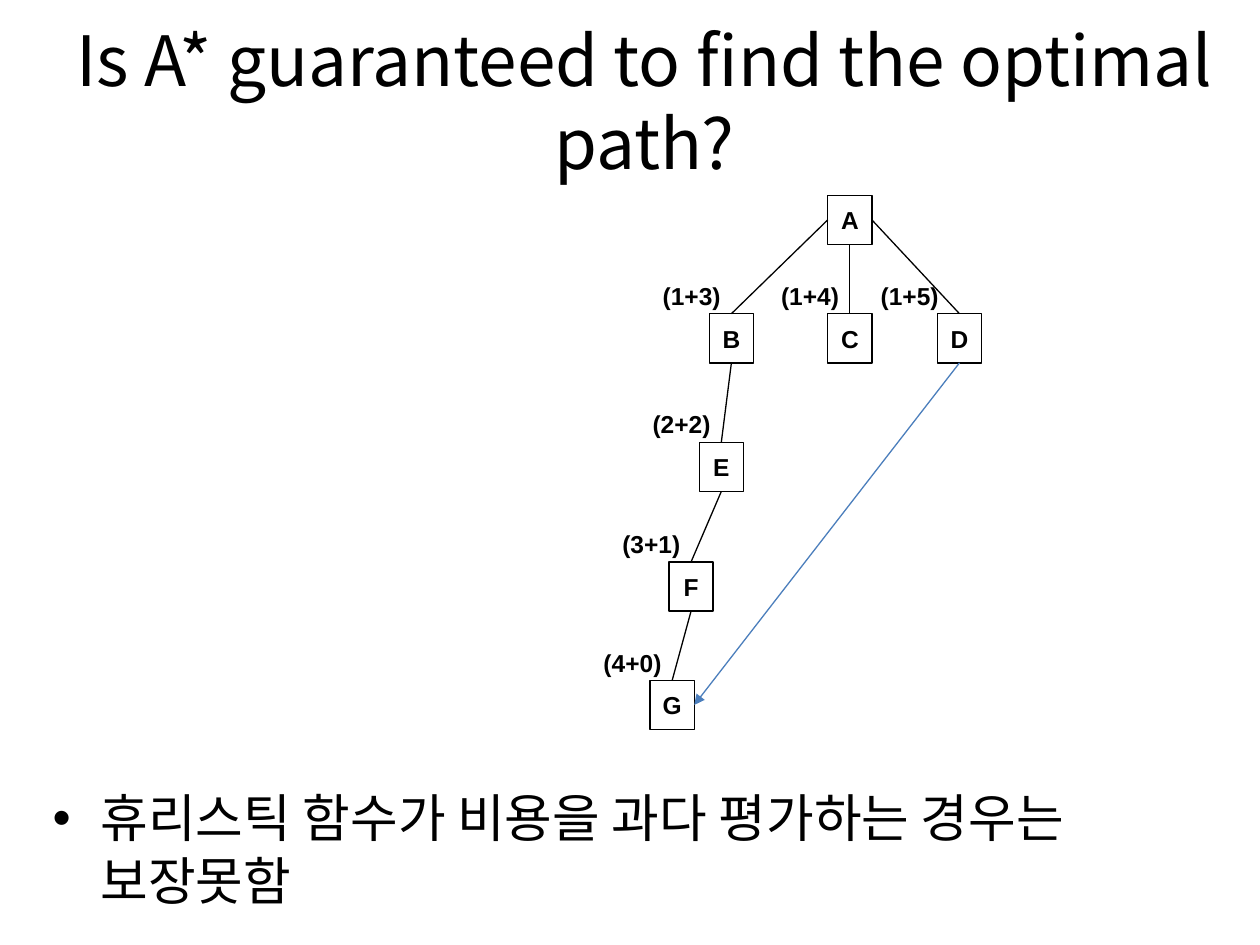
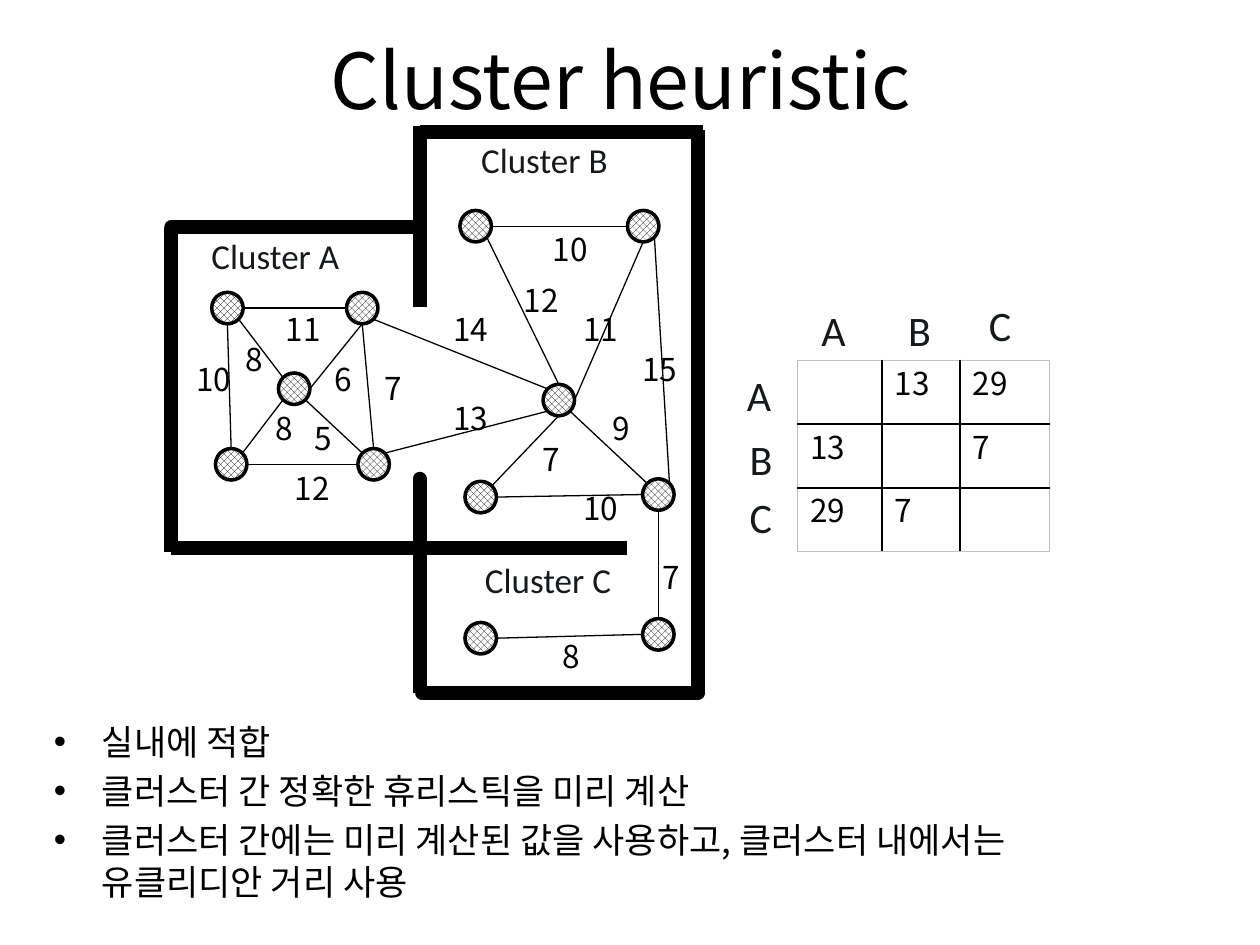
from dataclasses import dataclass
from lxml import etree
from pptx import Presentation
from pptx import util as u
from pptx.dml.color import RGBColor
from pptx.enum import dml, shapes, text
from pptx.oxml.ns import qn


@dataclass(frozen=True)
class Theme:
    black: str = "000000"
    ink: str = "161A1C"
    white: str = "FFFFFF"
    arrow: str = "4B7EBC"
    frame: str = "C0C0C0"
    main: str = "Noto Sans CJK KR"
    label: str = "Calibri"
    tree: str = "Arial"
    tree_size: float = 14
    weight_size: float = 18
    cluster_size: float = 20
    axis_size: float = 24
    leading: float = 1.2
    thin: float = 0.75
    ring: float = 2
    wall: float = 8


THEME = Theme()

PATH_SLIDE = {
    "title": ("Is A* guaranteed to find the optimal path?", (0.35, 0.36, 9.53, 0.87), 39.6),
    "bullets": (["휴리스틱 함수가 비용을 과다 평가하는 경우는 보장못함"], (0.32, 6.19, 9, 0.95), 29.6),
}
CLUSTER_SLIDE = {
    "title": ("Cluster heuristic", (0.43, 0, 9, 1.25), 44),
    "bullets": (
        [
            "실내에 적합",
            "클러스터 간 정확한 휴리스틱을 미리 계산",
            "클러스터 간에는 미리 계산된 값을 사용하고, 클러스터 내에서는 유클리디안 거리 사용",
        ],
        (0.33, 5.67, 9, 1.81),
        20,
    ),
}

TOP, LEFT, BOTTOM, RIGHT = range(4)
TREE_NODE = (0.35, 0.39)
TREE_NODES = {
    "A": (6.57, 1.55),
    "B": (5.63, 2.49),
    "C": (6.57, 2.49),
    "D": (7.44, 2.49),
    "E": (5.55, 3.51),
    "F": (5.31, 4.46),
    "G": (5.16, 5.4),
}
TREE_COSTS = {"B": "(1+3)", "C": "(1+4)", "D": "(1+5)", "E": "(2+2)", "F": "(3+1)", "G": "(4+0)"}
COST_SHIFT = {"D": -0.55}
TREE_EDGES = [
    ("A", LEFT, "B", TOP),
    ("A", BOTTOM, "C", TOP),
    ("A", RIGHT, "D", TOP),
    ("B", BOTTOM, "E", TOP),
    ("E", BOTTOM, "F", TOP),
    ("F", BOTTOM, "G", TOP),
]
SHORTCUT = ("D", BOTTOM, "G", RIGHT)

ROUND_WALLS = [
    ((3.33, 1.8), (1.36, 1.8)),
    ((3.33, 4.35), (3.33, 3.8)),
    ((5.54, 5.5), (3.35, 5.5)),
]
FLAT_WALLS = [
    ((1.36, 4.38), (1.36, 1.8)),
    ((1.36, 4.35), (3.33, 4.35)),
    ((3.33, 1.8), (3.33, 2.44)),
    ((3.33, 1), (3.33, 1.8)),
    ((3.33, 1.05), (5.58, 1.05)),
    ((3.35, 4.35), (4.98, 4.35)),
    ((5.54, 5.5), (5.54, 1.03)),
    ((3.33, 5.5), (3.33, 4.33)),
]
WAYPOINT = 0.25
WAYPOINTS = {
    "a1": (1.68, 2.32), "a2": (2.75, 2.32), "a3": (1.71, 3.56), "a4": (2.84, 3.56), "a5": (2.21, 2.96),
    "b1": (3.65, 1.67), "b2": (4.98, 1.67), "b3": (3.69, 3.82), "b4": (5.1, 3.8), "b5": (4.31, 3.05),
    "c1": (3.69, 4.94), "c2": (5.1, 4.91),
}
COMPASS = {
    "N": (0, -1), "NE": (0.71, -0.71), "E": (1, 0), "SE": (0.71, 0.71),
    "S": (0, 1), "SW": (-0.71, 0.71), "W": (-1, 0), "NW": (-0.71, -0.71),
}
ROUTES = [
    ("a1", "E", "a2", "W", "11", (2.17, 2.41)),
    ("a5", "NW", "a1", "SE", "8", (1.85, 2.65)),
    ("a3", "N", "a1", "S", "10", (1.46, 2.81)),
    ("a5", "SW", "a3", "NE", "8", (2.09, 3.2)),
    ("a5", "E", "a2", "S", "6", (2.56, 2.81)),
    ("a5", "SE", "a4", "NW", "5", (2.4, 3.28)),
    ("a2", "S", "a4", "N", "7", (2.95, 2.88)),
    ("a3", "E", "a4", "W", "12", (2.24, 3.67)),
    ("a2", "SE", "b5", "NW", "14", (3.5, 2.41)),
    ("a4", "NE", "b5", "SW", "13", (3.5, 3.12)),
    ("b1", "E", "b2", "W", "10", (4.29, 1.78)),
    ("b5", "N", "b1", "SE", "12", (4.06, 2.18)),
    ("b5", "E", "b2", "S", "11", (4.53, 2.41)),
    ("b2", "SE", "b4", "NE", "15", (5, 2.73)),
    ("b3", "NE", "b5", "S", "7", (4.21, 3.44)),
    ("b4", "NW", "b5", "SE", "9", (4.76, 3.2)),
    ("b3", "E", "b4", "W", "10", (4.53, 3.83)),
    ("b4", "S", "c2", "N", "7", (5.16, 4.38)),
    ("c2", "W", "c1", "E", "8", (4.37, 5.01)),
]
CLUSTER_NAMES = [("Cluster A", (1.58, 1.81)), ("Cluster B", (3.72, 1.05)), ("Cluster C", (3.75, 4.38))]
DISTANCES = [["", "13", "29"], ["13", "", "7"], ["29", "7", ""]]
TABLE_BOX = (6.33, 2.86, 2, 1.52)
COLUMN_WIDTHS = [0.67, 0.62, 0.71]
AXIS_NAMES = [
    ("A", (6.42, 2.37)), ("B", (7.11, 2.37)), ("C", (7.75, 2.33)),
    ("A", (5.83, 2.88)), ("B", (5.85, 3.39)), ("C", (5.85, 3.85)),
]


def inches(values):
    return [u.Inches(value) for value in values]


def color(value):
    return RGBColor.from_string(value)


def write(paragraph, words, size, font=THEME.main, tint=THEME.black, bold=False, align=text.PP_ALIGN.LEFT):
    paragraph.alignment = align
    if font == THEME.main:
        paragraph.line_spacing = u.Pt(size * THEME.leading)
    run = paragraph.add_run()
    run.text = words
    run.font.size = u.Pt(size)
    run.font.name = font
    run.font.bold = bold
    run.font.color.rgb = color(tint)
    etree.SubElement(run.font._element, qn("a:ea"), typeface=font)


def add_label(slide, words, place, box, size, **style):
    frame = slide.shapes.add_textbox(*inches(place + box)).text_frame
    frame.word_wrap = False
    frame.auto_size = text.MSO_AUTO_SIZE.SHAPE_TO_FIT_TEXT
    write(frame.paragraphs[0], words, size, **style)


def add_line(slide, start, end, width=THEME.thin, tint=THEME.black, cap="flat", arrow=False):
    line = slide.shapes.add_connector(shapes.MSO_CONNECTOR.STRAIGHT, *inches(start + end))
    line.line.width = u.Pt(width)
    line.line.color.rgb = color(tint)
    properties = line._element.spPr
    outline = properties.find(qn("a:ln"))
    outline.set("cap", cap)
    if arrow:
        etree.SubElement(outline, qn("a:tailEnd"), type="triangle")
    etree.SubElement(properties, qn("a:effectLst"))
    return line


def add_outlined(slide, kind, place, size, width):
    shape = slide.shapes.add_shape(kind, *inches(place + size))
    shape.shadow.inherit = False
    shape.line.color.rgb = color(THEME.black)
    shape.line.width = u.Pt(width)
    return shape


def start_slide(presentation, content):
    slide = presentation.slides.add_slide(presentation.slide_layouts[6])
    words, box, size = content["title"]
    frame = slide.shapes.add_textbox(*inches(box)).text_frame
    frame.word_wrap = True
    frame.vertical_anchor = text.MSO_ANCHOR.MIDDLE
    write(frame.paragraphs[0], words, size, align=text.PP_ALIGN.CENTER)

    bullets, box, size = content["bullets"]
    frame = slide.shapes.add_textbox(*inches(box)).text_frame
    frame.word_wrap = True
    for index, words in enumerate(bullets):
        paragraph = frame.add_paragraph() if index else frame.paragraphs[0]
        write(paragraph, words, size)
        if index:
            paragraph.space_before = u.Pt(size * 0.2)
        properties = paragraph._p.get_or_add_pPr()
        properties.set("marL", str(u.Inches(0.38)))
        properties.set("indent", str(-u.Inches(0.38)))
        etree.SubElement(properties, qn("a:buFont"), typeface="Arial")
        etree.SubElement(properties, qn("a:buChar"), char="•")
    return slide


def draw_tree(slide):
    style = dict(font=THEME.tree, bold=True, align=text.PP_ALIGN.CENTER)
    nodes = {}
    for name, place in TREE_NODES.items():
        node = add_outlined(slide, shapes.MSO_SHAPE.RECTANGLE, place, TREE_NODE, THEME.thin)
        node.fill.background()
        node.text_frame.word_wrap = False
        node.text_frame.vertical_anchor = text.MSO_ANCHOR.MIDDLE
        write(node.text_frame.paragraphs[0], name, THEME.tree_size, **style)
        nodes[name] = node
    for name, cost in TREE_COSTS.items():
        left, top = TREE_NODES[name]
        place = (left + COST_SHIFT.get(name, -0.47), top - 0.31)
        add_label(slide, cost, place, (0.66, 0.34), THEME.tree_size, **style)
    for edge in TREE_EDGES + [SHORTCUT]:
        parent, start, child, end = edge
        is_shortcut = edge == SHORTCUT
        tint = THEME.arrow if is_shortcut else THEME.black
        line = add_line(slide, TREE_NODES[parent], TREE_NODES[child], tint=tint, arrow=is_shortcut)
        line.begin_connect(nodes[parent], start)
        line.end_connect(nodes[child], end)


def rim(waypoint, direction):
    radius = WAYPOINT / 2
    return tuple(edge + radius * (1 + step) for edge, step in zip(WAYPOINTS[waypoint], COMPASS[direction]))


def draw_clusters(slide):
    for cap, walls in (("rnd", ROUND_WALLS), ("flat", FLAT_WALLS)):
        for start, end in walls:
            add_line(slide, start, end, THEME.wall, cap=cap)
    for place in WAYPOINTS.values():
        circle = add_outlined(slide, shapes.MSO_SHAPE.OVAL, place, (WAYPOINT, WAYPOINT), THEME.ring)
        circle.fill.patterned()
        circle.fill.pattern = dml.MSO_PATTERN.SOLID_DIAMOND
        circle.fill.fore_color.rgb = color(THEME.black)
        circle.fill.back_color.rgb = color(THEME.white)
    for name, place in CLUSTER_NAMES:
        add_label(slide, name, place, (1.22, 0.44), THEME.cluster_size, font=THEME.label, tint=THEME.ink)
    for first, leaving, second, arriving, weight, place in ROUTES:
        add_line(slide, rim(first, leaving), rim(second, arriving))
        add_label(slide, weight, place, (0.2 + 0.14 * len(weight), 0.4), THEME.weight_size)


def set_borders(cell, row, column, last):
    properties = cell._tc.get_or_add_tcPr()
    outer = {"lnL": column == 0, "lnR": column == last, "lnT": row == 0, "lnB": row == last}
    for index, (side, is_outer) in enumerate(outer.items()):
        border = etree.Element(qn("a:" + side), w=str(u.Pt(1)))
        fill = etree.SubElement(border, qn("a:solidFill"))
        etree.SubElement(fill, qn("a:srgbClr"), val=THEME.frame if is_outer else THEME.black)
        properties.insert(index, border)


def draw_distances(slide):
    count = len(DISTANCES)
    table = slide.shapes.add_table(count, count, *inches(TABLE_BOX)).table
    table.first_row = table.horz_banding = False
    for column, width in zip(table.columns, COLUMN_WIDTHS):
        column.width = u.Inches(width)
    for row, values in enumerate(DISTANCES):
        for column, value in enumerate(values):
            cell = table.cell(row, column)
            cell.fill.background()
            set_borders(cell, row, column, count - 1)
            if value:
                write(cell.text_frame.paragraphs[0], value, THEME.weight_size)
    for name, place in AXIS_NAMES:
        add_label(slide, name, place, (0.38, 0.5), THEME.axis_size, font=THEME.label, tint=THEME.ink)


def main():
    presentation = Presentation()
    presentation.slide_width, presentation.slide_height = inches((10, 7.5))
    draw_tree(start_slide(presentation, PATH_SLIDE))
    slide = start_slide(presentation, CLUSTER_SLIDE)
    draw_clusters(slide)
    draw_distances(slide)
    presentation.save("out.pptx")


if __name__ == "__main__":
    main()
